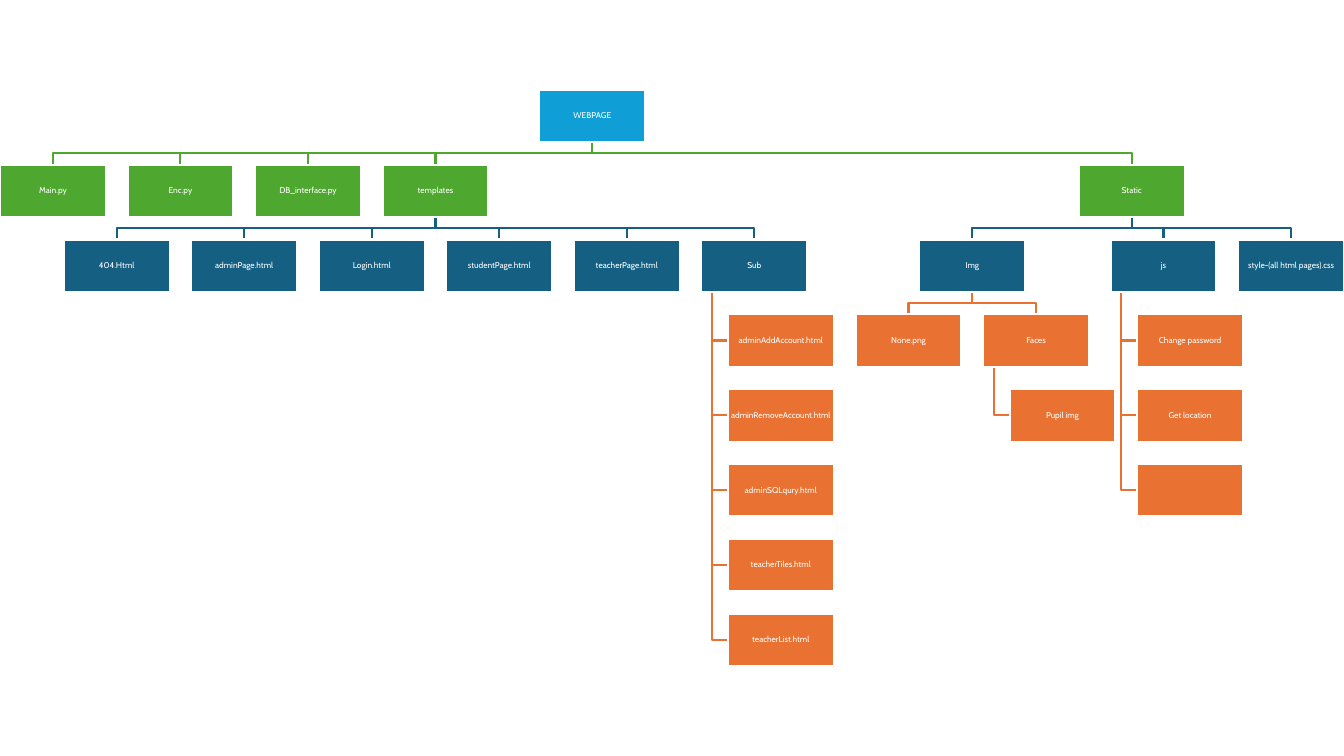
from dataclasses import dataclass, field

from pptx import Presentation
from pptx.dml.color import RGBColor
from pptx.enum.shapes import MSO_SHAPE
from pptx.enum.text import MSO_ANCHOR, PP_ALIGN
from pptx.util import Inches, Pt

RECT = MSO_SHAPE.RECTANGLE
MIDDLE = MSO_ANCHOR.MIDDLE
CENTER = PP_ALIGN.CENTER

SLIDE_W, SLIDE_H = 13.33, 7.5
CHART_TOP, CHART_H = 0.89, 5.72
BOX_W, BOX_H = 1.05, 0.52
LAST_COL, LAST_ROW = 9.71, 7
SPINE, INDENT = 0.1, 0.25
FONT = "Cabin"
BLANK_LAYOUT = 6
COLORS = {
    "root": "0F9ED5",
    "folder": "4EA72E",
    "page": "156082",
    "item": "E97132",
    "white": "FFFFFF",
}
LEVELS = ["root", "folder", "page", "item", "item"]


@dataclass
class Node:
    """A box of the tree; leaves and hanging parents carry their own column."""
    label: str
    col: float = 0
    children: list = field(default_factory=list)
    hanging: bool = False
    x: float = 0
    y: float = 0
    level: int = 0


def row_of(labels, first_col):
    """Return one leaf per label in consecutive columns."""
    return [Node(label, first_col + i) for i, label in enumerate(labels)]


def hanging(label, col, labels):
    """Return a node whose children hang below it in a column."""
    return Node(label, col, [Node(name) for name in labels], True)


def site_tree():
    """Return the file tree of the web page."""
    templates = Node("templates", children=[
        *row_of(["404.Html", "adminPage.html", "Login.html",
                 "studentPage.html", "teacherPage.html"], 0.5),
        hanging("Sub", 5.5, ["adminAddAccount.html", "adminRemoveAccount.html",
                             "adminSQLqury.html", "teacherTiles.html",
                             "teacherList.html"]),
    ])
    img = Node("Img", children=[Node("None.png", 6.71),
                                hanging("Faces", 7.71, ["Pupil img"])])
    static = Node("Static", children=[
        img,
        hanging("js", 8.71, ["Change password", "Get location", ""]),
        Node("style-(all html pages).css", LAST_COL),
    ])
    files = row_of(["Main.py", "Enc.py", "DB_interface.py"], 0)
    return Node("WEBPAGE", children=[*files, templates, static])


def place(node, box, row=0, level=0):
    """Set positions in the box, centring parents over their children."""
    left, top, width, height = box
    col_step = (width - BOX_W) / LAST_COL
    row_step = (height - BOX_H) / LAST_ROW
    node.level = level
    node.x = left + node.col * col_step
    node.y = top + row * row_step
    for i, child in enumerate(node.children):
        if node.hanging:
            child.col = node.col + INDENT * BOX_W / col_step
        place(child, box, row + 1 + (i if node.hanging else 0), level + 1)
    if node.children and not node.hanging:
        node.x = (node.children[0].x + node.children[-1].x) / 2


def draw_line(s, points, color):
    """Draw an open line through the points."""
    points = [(Inches(x), Inches(y)) for x, y in points]
    builder = s.shapes.build_freeform(*points[0])
    builder.add_line_segments(points[1:], close=False)
    sp = builder.convert_to_shape()
    sp.shadow.inherit = False
    sp.fill.background()
    sp.line.color.rgb = RGBColor.from_string(color)
    sp.line.width = Pt(1.5)


def draw_links(s, node):
    """Draw the lines from a node to all its descendants."""
    bottom = node.y + BOX_H
    for child in node.children:
        if node.hanging:
            spine = node.x + SPINE * BOX_W
            middle = child.y + BOX_H / 2
            points = [(spine, bottom), (spine, middle), (child.x, middle)]
        else:
            start, end = node.x + BOX_W / 2, child.x + BOX_W / 2
            bend = (bottom + child.y) / 2
            points = [(start, bottom), (start, bend), (end, bend), (end, child.y)]
        draw_line(s, points, COLORS[LEVELS[child.level]])
        draw_links(s, child)


def draw_boxes(s, node):
    """Draw the labelled box of a node and of all its descendants."""
    sp = s.shapes.add_shape(RECT, Inches(node.x), Inches(node.y),
                            Inches(BOX_W), Inches(BOX_H))
    sp.shadow.inherit = False
    sp.fill.solid()
    sp.fill.fore_color.rgb = RGBColor.from_string(COLORS[LEVELS[node.level]])
    sp.line.color.rgb = RGBColor.from_string(COLORS["white"])
    sp.line.width = Pt(1.5)
    tf = sp.text_frame
    tf.margin_left = tf.margin_right = tf.margin_top = tf.margin_bottom = 0
    tf.vertical_anchor = MIDDLE
    tf.word_wrap = False
    tf.text = node.label
    p = tf.paragraphs[0]
    p.alignment = CENTER
    p.line_spacing = 0.9
    for r in p.runs:
        r.font.name = FONT
        r.font.size = Pt(6)
        r.font.color.rgb = RGBColor.from_string(COLORS["white"])
    for child in node.children:
        draw_boxes(s, child)


def draw_tree(s, root, box):
    """Draw the whole tree in the box, lines behind boxes."""
    place(root, box)
    draw_links(s, root)
    draw_boxes(s, root)


def main():
    """Build and save the slide."""
    prs = Presentation()
    prs.slide_width, prs.slide_height = Inches(SLIDE_W), Inches(SLIDE_H)
    s = prs.slides.add_slide(prs.slide_layouts[BLANK_LAYOUT])
    draw_tree(s, site_tree(), (0, CHART_TOP, SLIDE_W, CHART_H))
    prs.save("out.pptx")


if __name__ == "__main__":
    main()
